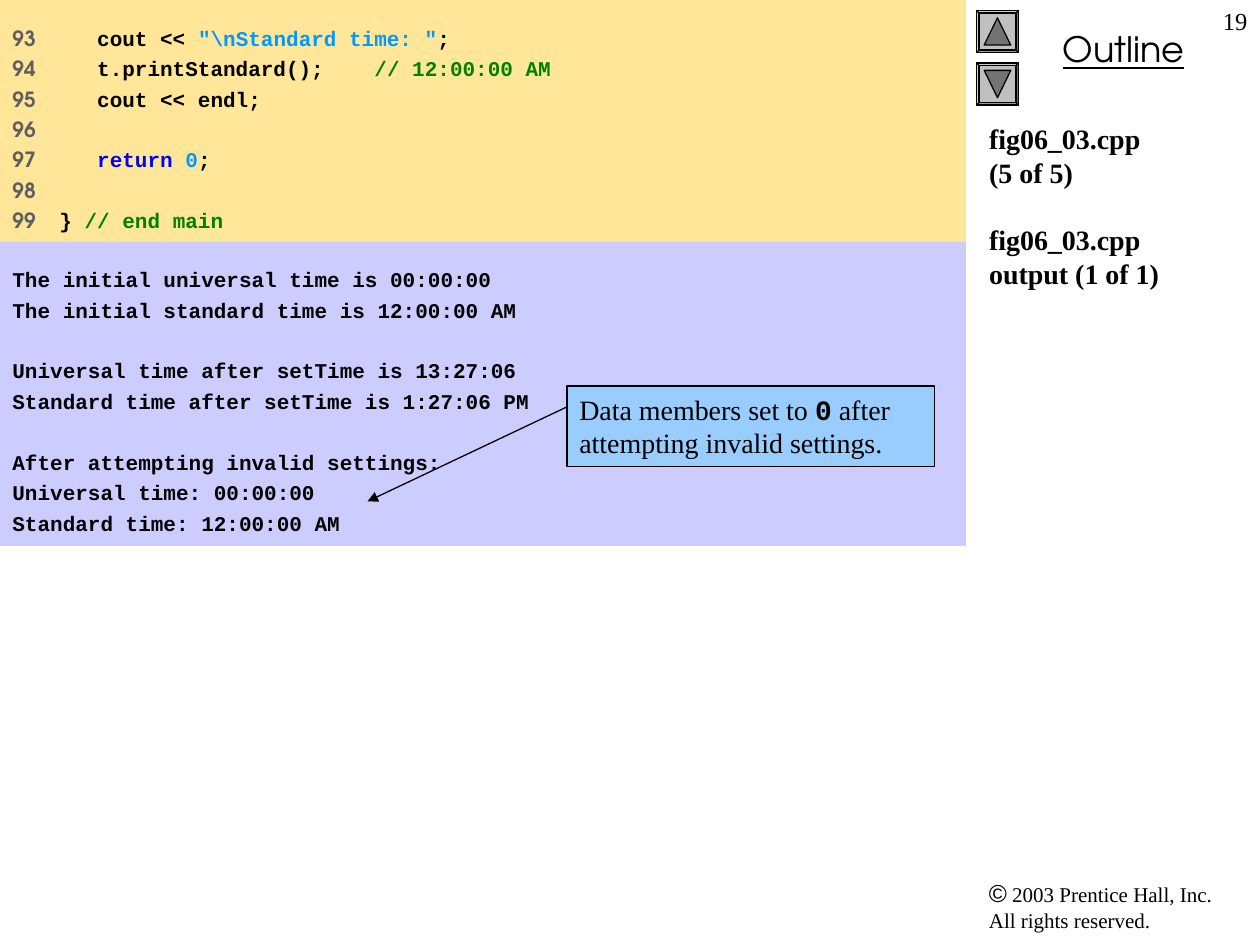
"""Build the code listing slide with program output, callout and outline column."""
from dataclasses import dataclass
from typing import Optional

from lxml.etree import SubElement
from pptx import Presentation
from pptx.dml.color import RGBColor
from pptx.enum.shapes import MSO_CONNECTOR as Connector, MSO_SHAPE as Shape
from pptx.enum.text import MSO_ANCHOR as Anchor, MSO_AUTO_SIZE as AutoSize, PP_ALIGN as Align
from pptx.oxml.ns import qn
from pptx.util import Pt

SERIF, MONO, SANS, HEADING = "Times New Roman", "Courier New", "Arial", "TeX Gyre Adventor"
BLACK, GRAY, BLUE, LITERAL, COMMENT = "000000", "5F5F5F", "0000FF", "0099FF", "008000"
LINE_FACTOR = 1.2
CODE_GAP = 3
LINE_BREAK = "\v"


@dataclass
class Piece:
    """A stretch of text with what differs from its paragraph."""
    text: str
    color: Optional[str] = None
    font: Optional[str] = None
    size: Optional[float] = None
    bold: Optional[bool] = None


@dataclass
class Line:
    """A paragraph of pieces with its space before in points."""
    pieces: list[Piece]
    before: float = 0


@dataclass
class Style:
    """Common text formatting of a box."""
    font: str
    size: float
    bold: bool = False
    underline: bool = False
    align: Align = Align.LEFT
    exact: bool = False
    inset: float = 3.6


@dataclass
class Box:
    """A rectangle in points."""
    left: float
    top: float
    width: float
    height: float

    def lengths(self) -> list[Pt]:
        """Return the rectangle as lengths."""
        return [Pt(value) for value in (self.left, self.top, self.width, self.height)]


CODE = [
    (93, [Piece("   cout << "), Piece('"\\nStandard time: "', LITERAL), Piece(";")]),
    (94, [Piece("   t.printStandard();    "), Piece("// 12:00:00 AM", COMMENT)]),
    (95, [Piece("   cout << endl;")]),
    (96, []),
    (97, [Piece("   "), Piece("return ", BLUE), Piece("0", LITERAL), Piece(";")]),
    (98, []),
    (99, [Piece("} "), Piece("// end main", COMMENT)]),
]
OUTPUT = [
    ["The initial universal time is 00:00:00", "The initial standard time is 12:00:00 AM"],
    ["Universal time after setTime is 13:27:06", "Standard time after setTime is 1:27:06 PM"],
    ["After attempting invalid settings:", "Universal time: 00:00:00",
     "Standard time: 12:00:00 AM"],
]


def color(value: str) -> RGBColor:
    """Turn a hex string into a colour."""
    return RGBColor.from_string(value)


def write(shape, lines: list[Line], style: Style) -> None:
    """Fill a shape with formatted paragraphs."""
    frame = shape.text_frame
    frame.word_wrap = True
    frame.auto_size = AutoSize.NONE
    frame.vertical_anchor = Anchor.TOP
    frame.margin_left = frame.margin_right = Pt(7.2)
    frame.margin_top = frame.margin_bottom = Pt(style.inset)
    for index, line in enumerate(lines):
        paragraph = frame.add_paragraph() if index else frame.paragraphs[0]
        paragraph.alignment = style.align
        paragraph.space_before = Pt(line.before if index else 0)
        if style.exact:
            paragraph.line_spacing = Pt(style.size * LINE_FACTOR)
        font = paragraph.font
        font.name, font.size, font.bold = style.font, Pt(style.size), style.bold
        font.underline = style.underline
        font.color.rgb = color(BLACK)
        for piece in line.pieces:
            if piece.text == LINE_BREAK:
                paragraph.add_line_break()
                continue
            run = paragraph.add_run()
            run.text = piece.text
            if piece.font:
                run.font.name = piece.font
            if piece.size:
                run.font.size = Pt(piece.size)
            if piece.bold is not None:
                run.font.bold = piece.bold
            if piece.color:
                run.font.color.rgb = color(piece.color)


def add_label(slide, box: Box, lines: list[Line], style: Style) -> None:
    """Add a plain text box."""
    write(slide.shapes.add_textbox(*box.lengths()), lines, style)


def add_filled(slide, kind: Shape, box: Box, fill: str, outline: Optional[str] = None):
    """Add a preset shape with a fill and an optional thin outline."""
    shape = slide.shapes.add_shape(kind, *box.lengths())
    shape.shadow.inherit = False
    shape.fill.solid()
    shape.fill.fore_color.rgb = color(fill)
    if outline:
        shape.line.color.rgb = color(outline)
        shape.line.width = Pt(0.75)
    else:
        shape.line.fill.background()
    return shape


def add_button(slide, top: float, rotation: float) -> None:
    """Add a bevelled button with a triangle turned by the rotation."""
    button = add_filled(slide, Shape.BEVEL, Box(558, top, 24, 24), "C0C0C0", BLACK)
    button.adjustments[0] = 0.06
    triangle = add_filled(slide, Shape.ISOSCELES_TRIANGLE, Box(562.4, top + 4.2, 15.2, 15.6),
                          "737373", BLACK)
    triangle.rotation = rotation


def add_arrow(slide, start: tuple[float, float], end: tuple[float, float]) -> None:
    """Add a thin line with an arrowhead at its end."""
    points = [Pt(value) for value in (*start, *end)]
    arrow = slide.shapes.add_connector(Connector.STRAIGHT, *points)
    arrow.line.color.rgb = color(BLACK)
    arrow.line.width = Pt(0.75)
    SubElement(arrow.line._get_or_add_ln(), qn("a:tailEnd"), type="triangle")
    SubElement(arrow._element.spPr, qn("a:effectLst"))


def main() -> None:
    """Build and save the slide."""
    presentation = Presentation()
    presentation.slide_width, presentation.slide_height = Pt(720), Pt(540)
    slide = presentation.slides.add_slide(presentation.slide_layouts[5])

    title = slide.shapes.title
    title.left, title.top, title.width, title.height = Box(558, 66, 162, 378).lengths()
    headings = [("fig06_03.cpp", "(5 of 5)"), ("fig06_03.cpp", "output (1 of 1)")]
    write(title, [Line([Piece(first), Piece(LINE_BREAK), Piece(second)], 16 * LINE_FACTOR)
                  for first, second in headings], Style(SERIF, 16, bold=True, exact=True))

    add_label(slide, Box(558, 498, 156, 39),
              [Line([Piece("©", font=SANS, size=14), Piece(" 2003 Prentice Hall, Inc."),
                     Piece(LINE_BREAK), Piece("All rights reserved.")])], Style(SERIF, 12))
    add_label(slide, Box(564, 12, 156, 32), [Line([Piece("Outline")])],
              Style(HEADING, 20, underline=True, align=Align.CENTER))
    add_label(slide, Box(684, 0, 36, 36), [Line([Piece("19")])],
              Style(SERIF, 14, align=Align.RIGHT))
    add_button(slide, 6, 0)
    add_button(slide, 36, 180)

    listing = Style(MONO, 12, bold=True, exact=True, inset=14.4)
    code_panel = add_filled(slide, Shape.RECTANGLE, Box(0, 0, 552, 138), "FFE699")
    write(code_panel, [Line([Piece(f"{number}    " if code else str(number), GRAY, HEADING), *code],
                            CODE_GAP) for number, code in CODE], listing)

    group_gap = 2 * CODE_GAP + listing.size * LINE_FACTOR
    output_panel = add_filled(slide, Shape.RECTANGLE, Box(0, 138, 552, 174), "CCCCFF")
    write(output_panel, [Line([Piece(text)], CODE_GAP if index else group_gap)
                         for group in OUTPUT for index, text in enumerate(group)], listing)

    callout = add_filled(slide, Shape.RECTANGLE, Box(324, 220.5, 210, 46), "99CCFF", BLACK)
    write(callout, [Line([Piece("Data members set to "), Piece("0", font=MONO, bold=True),
                          Piece(" after attempting invalid settings.")])],
          Style(SERIF, 16, exact=True))
    add_arrow(slide, (324, 232.5), (210, 286.5))

    presentation.save("out.pptx")


if __name__ == "__main__":
    main()
